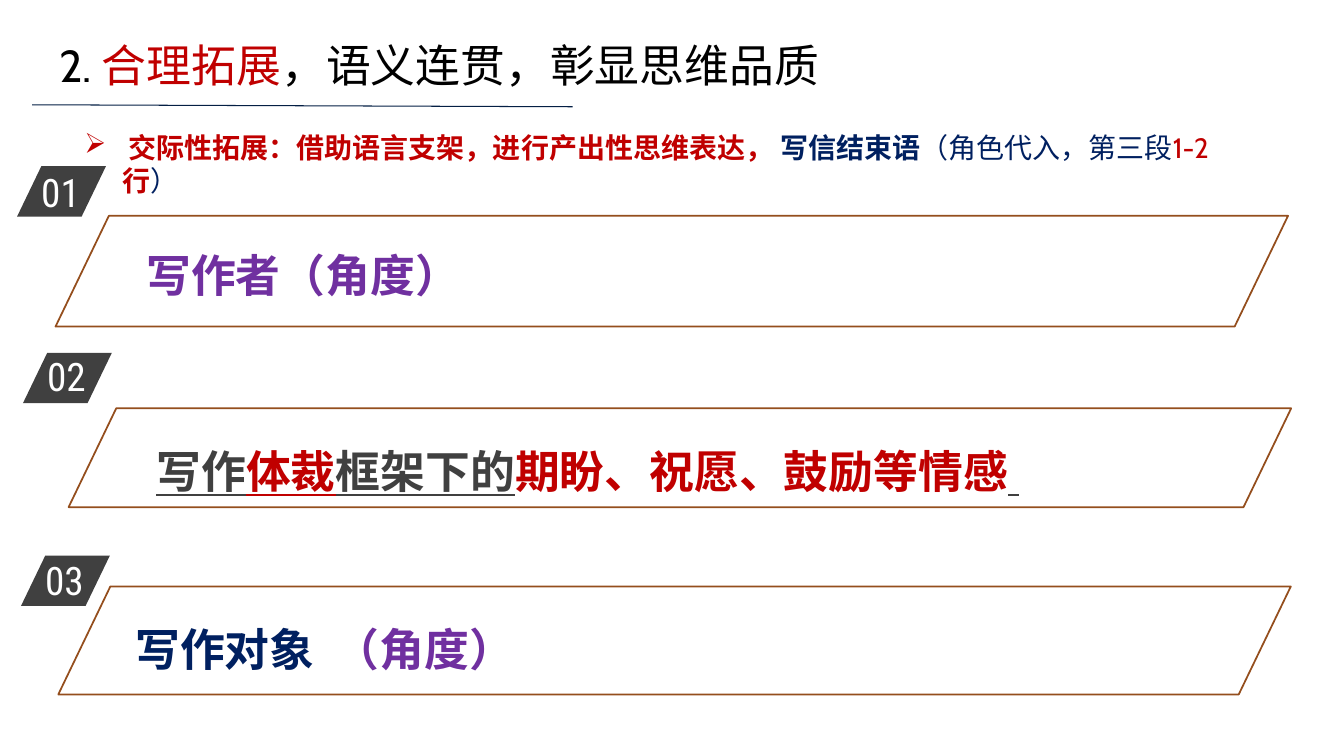
from lxml.etree import SubElement
from pptx import Presentation
from pptx.dml.color import RGBColor
from pptx.enum.shapes import MSO_CONNECTOR, MSO_SHAPE
from pptx.oxml.ns import qn
from pptx.util import Cm, Pt

COLORS = {"black": "000000", "red": "C00000", "navy": "002060", "purple": "7030A0",
          "gray": "404040", "brown": "944E1D", "rule": "041F44", "white": "FFFFFF"}
CJK = "Noto Sans CJK SC"


def add_text(left, top, width, height, runs, size, font, inset=(0.25, 0.13)):
    """Add a text box; each run is (text, colour, style), style holding b and/or u."""
    box = s.shapes.add_textbox(Cm(left), Cm(top), Cm(width), Cm(height))
    tf = box.text_frame
    tf.word_wrap = True
    tf.margin_left = tf.margin_right = Cm(inset[0])
    tf.margin_top = tf.margin_bottom = Cm(inset[1])
    p = tf.paragraphs[0]
    for text, color, style in runs:
        r = p.add_run()
        r.text = text
        r.font.size = Pt(size)
        r.font.name = font
        r.font.bold = "b" in style
        r.font.underline = "u" in style
        r.font.color.rgb = RGBColor.from_string(COLORS[color])
        SubElement(r.font._element, qn("a:ea"), typeface=CJK)
    return p


def add_slanted(left, top, width, height):
    sp = s.shapes.add_shape(MSO_SHAPE.PARALLELOGRAM, Cm(left), Cm(top), Cm(width), Cm(height))
    sp.adjustments[0] = 0.482
    sp.shadow.inherit = False
    return sp


prs = Presentation()
prs.slide_width, prs.slide_height = Cm(33.87), Cm(19.05)
s = prs.slides.add_slide(prs.slide_layouts[6])

# Number tags: left and top of the tag, top of its number
tags = [(0.43, 4.19, 4.11), (0.58, 8.89, 8.76), (0.53, 14, 13.89)]
for number, (left, top, text_top) in enumerate(tags, 1):
    tag = add_slanted(left, top, 2.24, 1.27)
    tag.fill.solid()
    tag.fill.fore_color.rgb = RGBColor.from_string(COLORS["gray"])
    tag.line.fill.background()
    add_text(left + 0.36, text_top, 2.13, 1.24, [(f"{number:02d}", "white", "")],
             28, "Roboto Condensed")

# Panels: frame, text box, runs
panels = [
    ((1.4, 5.44, 31.06, 2.79), (3.51, 6.15, 28.73, 1.55),
     [("写作者（角度）", "purple", "b")]),
    ((1.73, 10.29, 30.81, 2.49), (3.76, 11.07, 27.43, 1.55),
     [("写作", "gray", "bu"), ("体裁", "red", "bu"), ("框架下的", "gray", "bu"),
      ("期盼、祝愿、鼓励等情感", "red", "b"), (" ", "gray", "bu")]),
    ((1.47, 14.78, 31.06, 2.72), (3.23, 15.57, 29.49, 1.55),
     [("写作对象", "navy", "b"), (" ", "navy", "b"), ("（角度）", "purple", "b")]),
]
for frame, text_box, runs in panels:
    p = add_text(*text_box, runs, 32, CJK, inset=(0.18, 0.1))
    panel = add_slanted(*frame)
    panel.fill.background()
    panel.line.color.rgb = RGBColor.from_string(COLORS["brown"])
    panel.line.width = Pt(1.25)
p.runs[1].font._element.set("spc", "700")  # wider gap before the bracket

# Heading with its rule
add_text(1.24, 0.81, 32.44, 1.63,
         [("2. ", "black", ""), ("合理拓展", "red", ""),
          ("，语义连贯，彰显思维品质", "black", "")], 32, "Cabin")
rule = s.shapes.add_connector(MSO_CONNECTOR.STRAIGHT, Cm(0.81), Cm(2.64), Cm(14.43), Cm(2.69))
rule.line.color.rgb = RGBColor.from_string(COLORS["rule"])
rule.line.width = Pt(0.75)
SubElement(rule._element.spPr, qn("a:effectLst"))

# Bulleted subheading
p = add_text(1.88, 3.15, 29.79, 1.12,
             [(" ", "red", ""),
              ("交际性拓展：借助语言支架，进行产出性思维表达， ", "red", "b"),
              ("写信结束语", "navy", "b"), ("（角色代入，第三段", "navy", ""),
              ("1-2", "red", ""), ("行", "red", "b"), ("）", "navy", "")], 20, "Cabin")
pPr = p._p.get_or_add_pPr()
pPr.set("marL", str(Cm(0.95)))
pPr.set("indent", str(-Cm(0.95)))
SubElement(pPr, qn("a:buChar"), char="➢")

prs.save("out.pptx")
